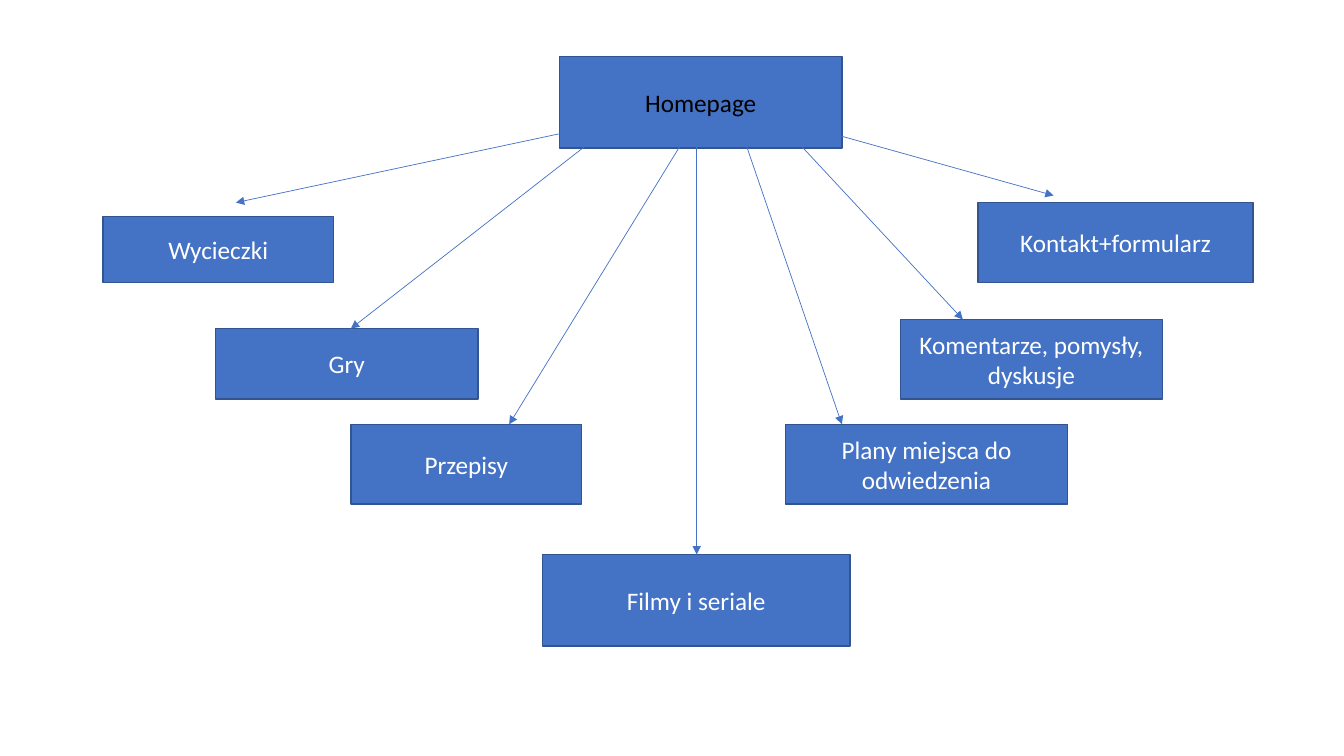
"""Builds a site map slide: a homepage box with arrows to its seven subpages."""
from typing import NamedTuple

from lxml.etree import SubElement
from pptx import Presentation
from pptx.dml.color import RGBColor
from pptx.enum.shapes import MSO_CONNECTOR, MSO_SHAPE
from pptx.enum.text import MSO_ANCHOR, PP_ALIGN
from pptx.oxml.ns import qn
from pptx.slide import Slide
from pptx.util import Inches, Pt

BLUE = "4472C4"
DARK_BLUE = "325491"
WHITE = "FFFFFF"
BLACK = "000000"


class SiteBox(NamedTuple):
    label: str
    left: float
    top: float
    width: float
    height: float
    text_color: str = WHITE


class Arrow(NamedTuple):
    start_x: float
    start_y: float
    end_x: float
    end_y: float


BOXES = [
    SiteBox("Homepage", 5.55, 0.56, 2.8, 0.91, BLACK),
    SiteBox("Wycieczki", 1.02, 2.15, 2.29, 0.65),
    SiteBox("Gry", 2.14, 3.26, 2.6, 0.7),
    SiteBox("Przepisy", 3.48, 4.21, 2.29, 0.79),
    SiteBox("Filmy i seriale", 5.38, 5.5, 3.05, 0.91),
    SiteBox("Plany miejsca do odwiedzenia", 7.79, 4.21, 2.8, 0.79),
    SiteBox("Komentarze, pomysły, dyskusje", 8.93, 3.17, 2.6, 0.79),
    SiteBox("Kontakt+formularz", 9.7, 2.01, 2.73, 0.79),
]

ARROWS = [
    Arrow(5.63, 1.31, 2.34, 2.01),
    Arrow(5.83, 1.43, 3.48, 3.26),
    Arrow(6.83, 1.31, 5.05, 4.21),
    Arrow(6.91, 1.24, 6.91, 5.5),
    Arrow(7.36, 1.32, 8.35, 4.21),
    Arrow(7.93, 1.43, 9.55, 3.17),
    Arrow(8.2, 1.31, 10.45, 1.94),
]


def color(value: str) -> RGBColor:
    return RGBColor.from_string(value)


def draw_box(page: Slide, item: SiteBox) -> None:
    box = page.shapes.add_shape(
        MSO_SHAPE.RECTANGLE,
        Inches(item.left), Inches(item.top), Inches(item.width), Inches(item.height),
    )
    box.shadow.inherit = False
    box.fill.solid()
    box.fill.fore_color.rgb = color(BLUE)
    box.line.color.rgb = color(DARK_BLUE)
    box.line.width = Pt(1)
    frame = box.text_frame
    frame.word_wrap = True
    frame.vertical_anchor = MSO_ANCHOR.MIDDLE
    para = frame.paragraphs[0]
    para.text = item.label
    para.alignment = PP_ALIGN.CENTER
    para.font.name = "Calibri"
    para.font.size = Pt(18)
    para.font.color.rgb = color(item.text_color)


def draw_arrow(page: Slide, item: Arrow) -> None:
    arrow = page.shapes.add_connector(
        MSO_CONNECTOR.STRAIGHT,
        Inches(item.start_x), Inches(item.start_y), Inches(item.end_x), Inches(item.end_y),
    )
    arrow.line.color.rgb = color(BLUE)
    arrow.line.width = Pt(0.5)
    properties = arrow._element.spPr
    SubElement(properties.find(qn("a:ln")), qn("a:tailEnd"), type="triangle")
    SubElement(properties, qn("a:effectLst"))


def main() -> None:
    deck = Presentation()
    deck.slide_width = Inches(13.33)
    deck.slide_height = Inches(7.5)
    page = deck.slides.add_slide(deck.slide_layouts[6])
    for item in BOXES:
        draw_box(page, item)
    for item in ARROWS:
        draw_arrow(page, item)
    deck.save("out.pptx")


main()
